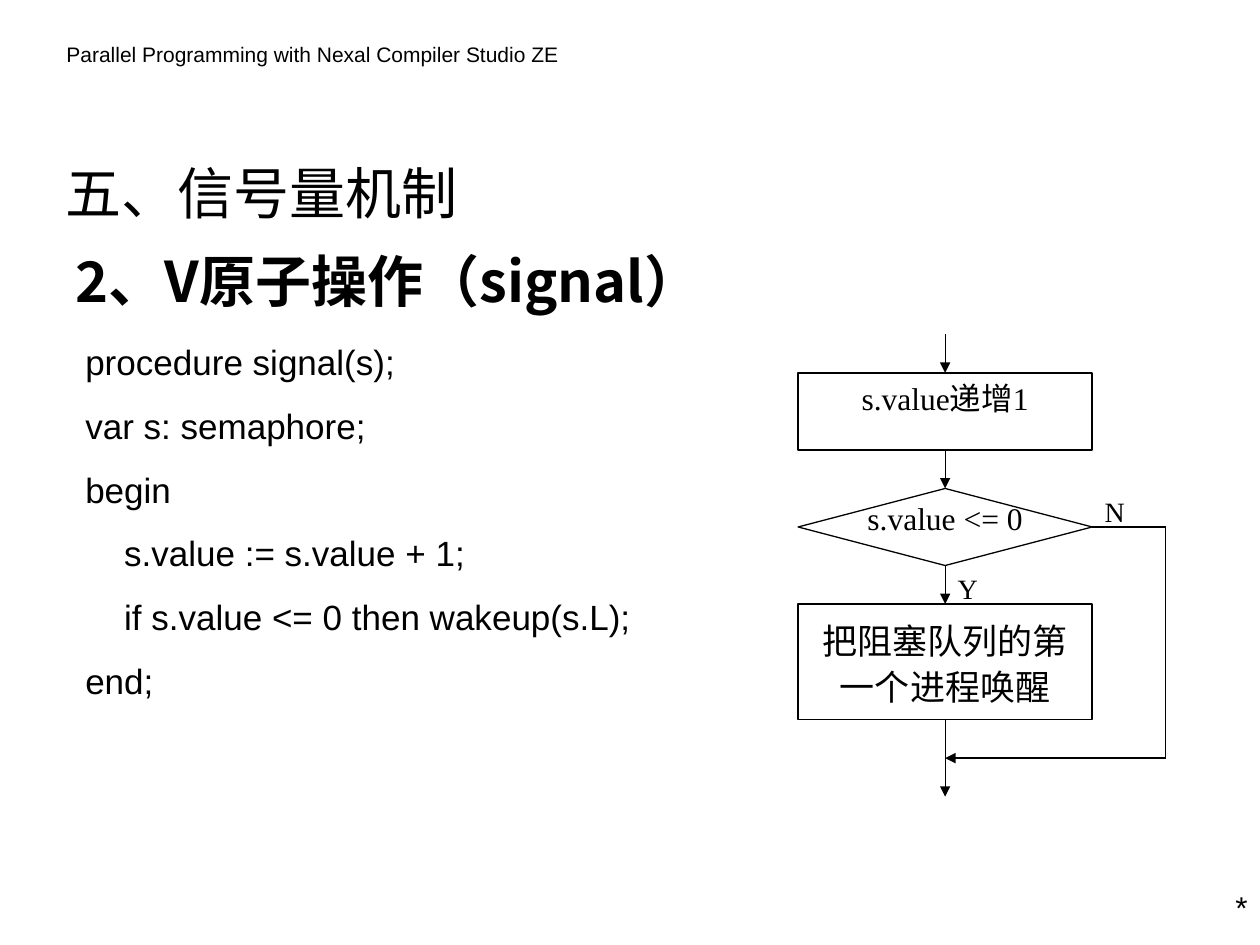
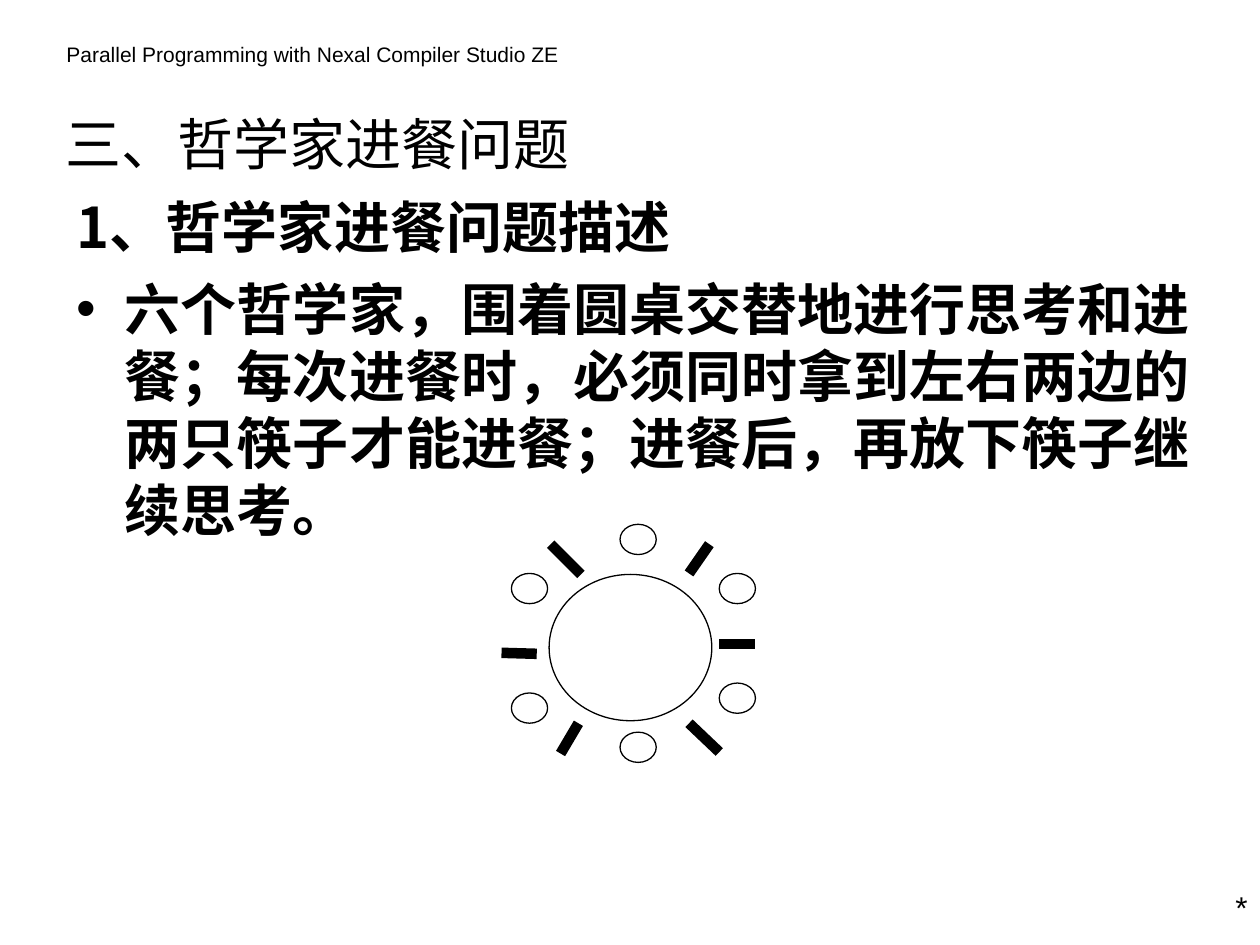
from lxml import etree
from pptx import Presentation
from pptx.dml.color import RGBColor
from pptx.enum.shapes import MSO_CONNECTOR, MSO_SHAPE, MSO_SHAPE_TYPE
from pptx.enum.text import MSO_ANCHOR, MSO_AUTO_SIZE, PP_ALIGN
from pptx.oxml.ns import qn
from pptx.util import Cm, Pt

LEFT, CENTER, RIGHT, JUSTIFY = PP_ALIGN.LEFT, PP_ALIGN.CENTER, PP_ALIGN.RIGHT, PP_ALIGN.JUSTIFY
TOP, MIDDLE = MSO_ANCHOR.TOP, MSO_ANCHOR.MIDDLE
NO_AUTOSIZE = MSO_AUTO_SIZE.NONE
AUTO_SHAPE = MSO_SHAPE_TYPE.AUTO_SHAPE
STRAIGHT = MSO_CONNECTOR.STRAIGHT
RECT, DIAMOND, OVAL = MSO_SHAPE.RECTANGLE, MSO_SHAPE.FLOWCHART_DECISION, MSO_SHAPE.OVAL

THEME = {
    "ink": RGBColor(0, 0, 0),
    "paper": RGBColor(255, 255, 255),
    "sans": "Arial",
    "serif": "Times New Roman",
    "cjk": "Noto Sans CJK SC",
    "heading": 32,
    "code": 20,
    "label": 18,
    "branch": 16,
    "header": 12,
    "leading": 1.2,
    "thin": 0.75,
    "thick": 6,
}


def write(sp, lines, size, font, align=LEFT, anchor=TOP, bold=False, before=0, stretch=1):
    """Fill a shape with one paragraph per line, on a fixed leading."""
    tf = sp.text_frame
    frame = {"word_wrap": True, "auto_size": NO_AUTOSIZE, "vertical_anchor": anchor,
             "margin_left": Cm(0.25), "margin_right": Cm(0.25),
             "margin_top": Cm(0.13), "margin_bottom": Cm(0.13)}
    for name, value in frame.items():
        setattr(tf, name, value)
    for i, line in enumerate(lines):
        p = tf.add_paragraph() if i else tf.paragraphs[0]
        p.alignment = align
        p.line_spacing = Pt(size * THEME["leading"] * stretch)
        p.space_before = Pt(before if i else 0)
        r = p.add_run()
        r.text = line
        for name, value in {"size": Pt(size), "bold": bold, "name": THEME[font]}.items():
            setattr(r.font, name, value)
        r.font.color.rgb = THEME["ink"]
        ea = etree.SubElement(r.font._element, qn("a:ea"))
        ea.set("typeface", THEME["cjk"])
    return tf


def connect(s, x1, y1, x2, y2, weight, arrow=False):
    sp = s.shapes.add_connector(STRAIGHT, Cm(x1), Cm(y1), Cm(x2), Cm(y2))
    sp.line.color.rgb = THEME["ink"]
    sp.line.width = Pt(THEME[weight])
    if arrow:
        etree.SubElement(sp.line._get_or_add_ln(), qn("a:tailEnd")).set("type", "triangle")
    etree.SubElement(sp._element.spPr, qn("a:effectLst"))


prs = Presentation()
prs.slide_width, prs.slide_height = Cm(25.4), Cm(19.05)

# Header, title, bold body and page mark of each slide
pages = [
    {"title": "五、信号量机制", "title_at": (1.07, 2.92, 14.4, 1.9),
     "body": ["2、V原子操作（signal）"], "body_at": (1.27, 4.83, 24.13, 2.74)},
    {"title": "三、哲学家进餐问题", "title_at": (1.07, 1.93, 18.03, 1.9),
     "body": ["1、哲学家进餐问题描述",
              "六个哲学家，围着圆桌交替地进行思考和进餐；每次进餐时，必须同时拿到左右两边的"
              "两只筷子才能进餐；进餐后，再放下筷子继续思考。"],
     "body_at": (1.3, 3.76, 23.5, 11.23)},
]
for page in pages:
    s = prs.slides.add_slide(prs.slide_layouts[5])
    sp = s.shapes.add_textbox(Cm(1.09), Cm(0.71), Cm(10.8), Cm(0.76))
    write(sp, ["Parallel Programming with Nexal Compiler Studio ZE"], THEME["header"], "sans")

    sp = s.shapes.title
    sp.left, sp.top, sp.width, sp.height = map(Cm, page["title_at"])
    write(sp, [page["title"]], THEME["heading"], "cjk", anchor=MIDDLE)

    sp = s.shapes.add_textbox(*map(Cm, page["body_at"]))
    tf = write(sp, page["body"], THEME["heading"], "cjk", bold=True, before=8)
    for i, p in enumerate(tf.paragraphs):
        pPr = p._p.get_or_add_pPr()
        pPr.set("marL", str(Cm(0.97)))
        pPr.set("indent", str(-Cm(0.97)))
        if i:
            etree.SubElement(pPr, qn("a:buFont")).set("typeface", THEME["sans"])
            etree.SubElement(pPr, qn("a:buChar")).set("char", "•")

    sp = s.shapes.add_textbox(Cm(23.7), Cm(17.77), Cm(1.7), Cm(1.02))
    write(sp, ["*"], THEME["label"], "sans", align=RIGHT)

signal_slide, dining_slide = prs.slides

# Signal procedure
code = [
    "procedure signal(s);",
    "var s: semaphore;",
    "begin",
    "    s.value := s.value + 1;",
    "    if s.value <= 0 then wakeup(s.L);",
    "end;",
]
sp = signal_slide.shapes.add_textbox(Cm(1.47), Cm(6.73), Cm(11.86), Cm(7.54))
write(sp, code, THEME["code"], "sans", before=12.5)

# Flow chart on a grid of 5 columns and 12 rows
COL, ROW = 7.41 / 5, 9.32 / 12
X = [16.09 + COL * i for i in range(6)]
Y = [6.74 + ROW * i for i in range(13)]

nodes = [
    (RECT, 1, 2, ["s.value递增1"], THEME["label"], TOP, 1),
    (DIAMOND, 4, 2, [], THEME["label"], TOP, 1),
    (RECT, 7, 3, ["把阻塞队列的第一个进程唤醒"], THEME["code"], MIDDLE, 1.1),
]
for kind, row, rows, lines, size, anchor, stretch in nodes:
    sp = signal_slide.shapes.add_shape(kind, Cm(X[0]), Cm(Y[row]), Cm(4 * COL), Cm(rows * ROW))
    write(sp, lines, size, "serif", align=CENTER, anchor=anchor, stretch=stretch)

flow = [
    (2, 0, 2, 1, True), (2, 3, 2, 4, True), (2, 6, 2, 7, True), (2, 10, 2, 12, True),
    (4, 5, 5, 5, False), (5, 5, 5, 11, False), (5, 11, 2, 11, True),
]
for c1, r1, c2, r2, arrow in flow:
    connect(signal_slide, X[c1], Y[r1], X[c2], Y[r2], "thin", arrow)

labels = [
    ("s.value <= 0", 0, 4, 4, 2, THEME["label"], CENTER, 1.1),
    ("N", 4, 4, 1, 1.5, THEME["branch"], JUSTIFY, 1),
    ("Y", 2, 6, 1, 1.5, THEME["branch"], JUSTIFY, 1),
]
for text, col, row, cols, rows, size, align, stretch in labels:
    sp = signal_slide.shapes.add_textbox(Cm(X[col]), Cm(Y[row]), Cm(cols * COL), Cm(rows * ROW))
    write(sp, [text], size, "serif", align=align, stretch=stretch)

# Round table, six seats and six chopsticks
dining_slide.shapes.add_shape(OVAL, Cm(11.07), Cm(11.58), Cm(3.28), Cm(2.95))
seats = [(12.5, 10.57), (14.5, 11.56), (14.5, 13.77), (12.5, 14.76), (10.31, 13.97), (10.31, 11.56)]
for x, y in seats:
    dining_slide.shapes.add_shape(OVAL, Cm(x), Cm(y), Cm(0.73), Cm(0.61))

chopsticks = [
    (13.89, 11.56, 14.3, 10.97), (14.5, 12.98, 15.21, 12.98), (13.89, 14.58, 14.5, 15.16),
    (11.66, 14.58, 11.3, 15.19), (10.11, 13.16, 10.82, 13.18), (11.1, 10.97, 11.71, 11.58),
]
for ends in chopsticks:
    connect(dining_slide, *ends, "thick")

# Every outlined shape is white with a thin black edge
for s in prs.slides:
    for sp in s.shapes:
        if sp.shape_type == AUTO_SHAPE:
            sp.shadow.inherit = False
            sp.fill.solid()
            sp.fill.fore_color.rgb = THEME["paper"]
            sp.line.color.rgb = THEME["ink"]
            sp.line.width = Pt(THEME["thin"])

prs.save("out.pptx")
